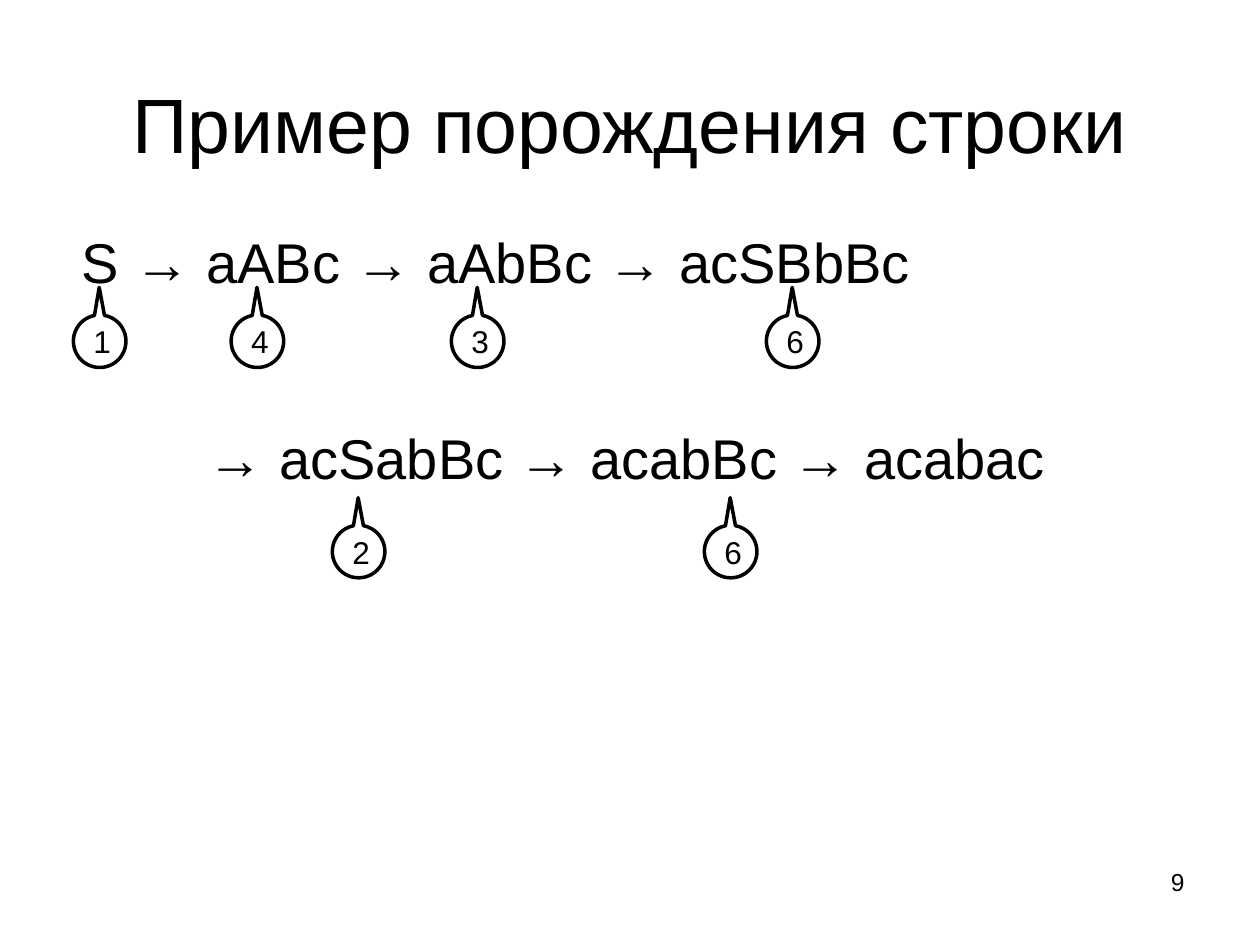
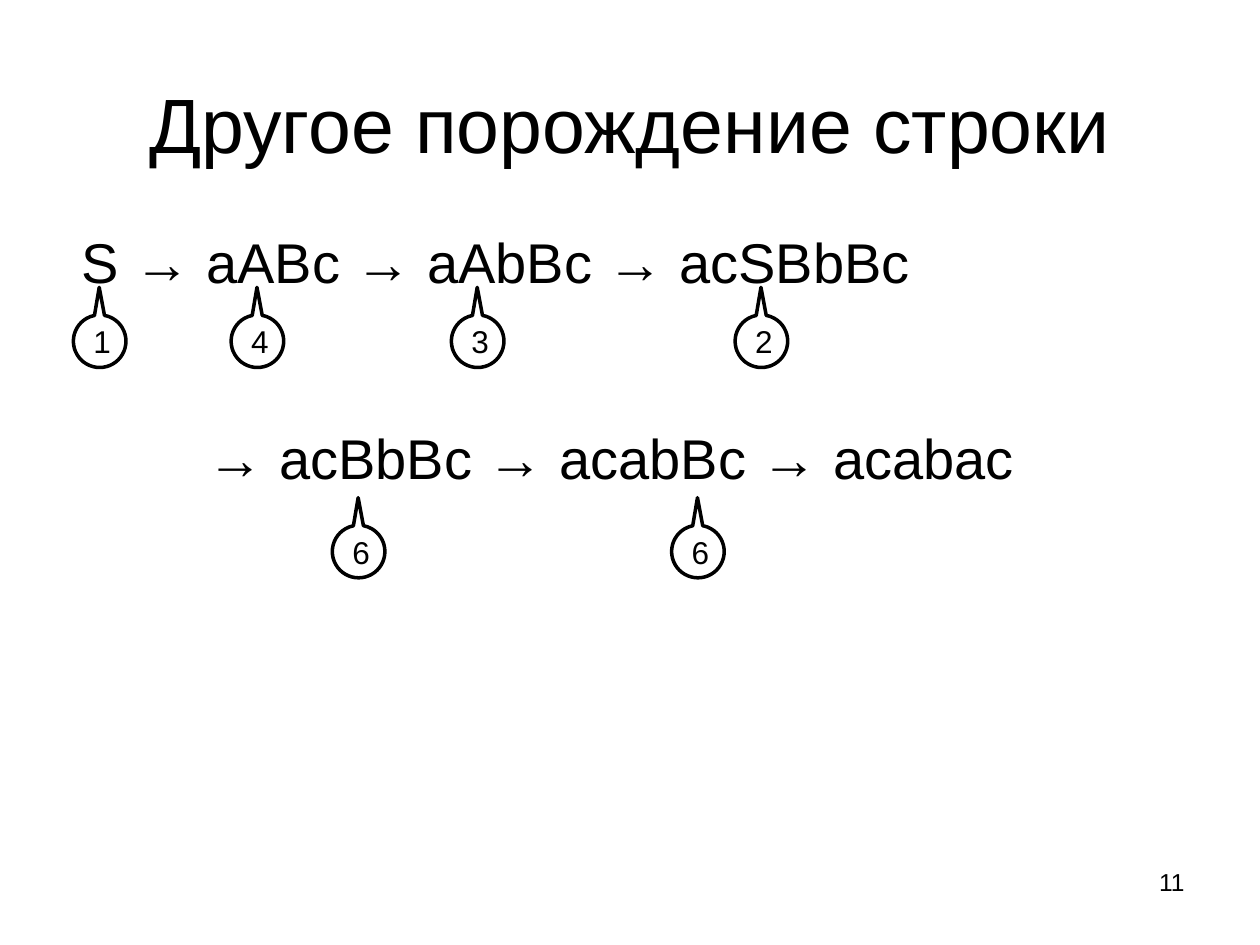
import pptx
import pptx.util
import pptx.dml.color
import pptx.enum.shapes
import pptx.enum.text

Cm = pptx.util.Cm
Pt = pptx.util.Pt
Align = pptx.enum.text.PP_ALIGN
Anchor = pptx.enum.text.MSO_ANCHOR

COLOURS = {"ink": "000000", "paper": "FFFFFF"}
INK = pptx.dml.color.RGBColor.from_string(COLOURS["ink"])
PAPER = pptx.dml.color.RGBColor.from_string(COLOURS["paper"])

# Text styles shared by both slides
STYLES = {
    "title": {"size": 44, "alignment": Align.CENTER, "anchor": Anchor.MIDDLE},
    "derivation": {"size": 32, "alignment": Align.LEFT, "anchor": Anchor.TOP},
    "number": {"size": 14, "alignment": Align.RIGHT, "anchor": Anchor.TOP},
    "rule": {"size": 18, "alignment": Align.CENTER, "anchor": Anchor.MIDDLE},
}

# Callouts: diameter, top of each row, and tail tip relative to the centre
CALLOUT_SIZE = 1.06
ROW_TOPS = [6.35, 10.59]
TAIL = [-0.008, -1.025]

# Each derivation line carries (left, rule number) pairs for its callouts
SLIDES = [
    {
        "title": "Пример порождения строки",
        "number": "9",
        "lines": ["S → aABc → aAbBc → acSBbBc", "→ acSabBc → acabBc → acabac"],
        "rules": [[(1.48, "1"), (4.66, "4"), (9.1, "3"), (15.45, "6")],
                  [(6.7, "2"), (14.2, "6")]],
    },
    {
        "title": "Другое порождение строки",
        "number": "11",
        "lines": ["S → aABc → aAbBc → acSBbBc", "→ acBbBc → acabBc → acabac"],
        "rules": [[(1.48, "1"), (4.66, "4"), (9.1, "3"), (14.82, "2")],
                  [(6.7, "6"), (13.54, "6")]],
    },
]


def write(shape, lines, style):
    """Fill a shape with one paragraph per line in a named style."""
    look = STYLES[style]
    frame = shape.text_frame
    frame_format = {
        "word_wrap": True, "vertical_anchor": look["anchor"],
        "margin_left": Cm(0.25), "margin_right": Cm(0.25),
        "margin_top": Cm(0.13), "margin_bottom": Cm(0.13),
    }
    for name, value in frame_format.items():
        setattr(frame, name, value)
    frame.text = "\n".join(lines)
    for para in frame.paragraphs:
        para.alignment = look["alignment"]
        for span in para.runs:
            font_format = {"name": "Arial", "size": Pt(look["size"])}
            for name, value in font_format.items():
                setattr(span.font, name, value)
            span.font.color.rgb = INK
    return frame


def add_text(page, place, lines, style):
    """Add a text box at left, top, width, height in centimetres."""
    box = page.shapes.add_textbox(*[Cm(length) for length in place])
    return write(box, lines, style)


deck = pptx.Presentation()
deck.slide_width = Cm(25.4)
deck.slide_height = Cm(19.05)

for content in SLIDES:
    page = deck.slides.add_slide(deck.slide_layouts[6])
    page.background.fill.solid()
    page.background.fill.fore_color.rgb = PAPER

    # Title, set slightly below the middle of its box
    title = add_text(page, (1.27, 0.76, 22.86, 3.18), [content["title"]], "title")
    title.margin_top, title.margin_bottom = Cm(0.25), Cm(0)

    # Derivation: the second line is indented and leaves room for callouts
    derivation = add_text(page, (1.4, 4.45, 22.86, 8.46), content["lines"], "derivation")
    continuation = derivation.paragraphs[1]
    continuation.space_before = Pt(73.6)
    continuation._p.get_or_add_pPr().set("marL", str(Cm(2.54)))

    # Slide number
    add_text(page, (18.21, 17.35, 5.92, 1.32), [content["number"]], "number")

    # Callouts naming the rule applied
    for top, row in zip(ROW_TOPS, content["rules"]):
        for left, rule in row:
            callout = page.shapes.add_shape(
                pptx.enum.shapes.MSO_SHAPE.OVAL_CALLOUT,
                Cm(left), Cm(top), Cm(CALLOUT_SIZE), Cm(CALLOUT_SIZE))
            callout.shadow.inherit = False
            callout.fill.background()
            callout.line.color.rgb = INK
            callout.line.width = Pt(2)
            for index, value in enumerate(TAIL):
                callout.adjustments[index] = value
            write(callout, [rule], "rule")

deck.save("out.pptx")
